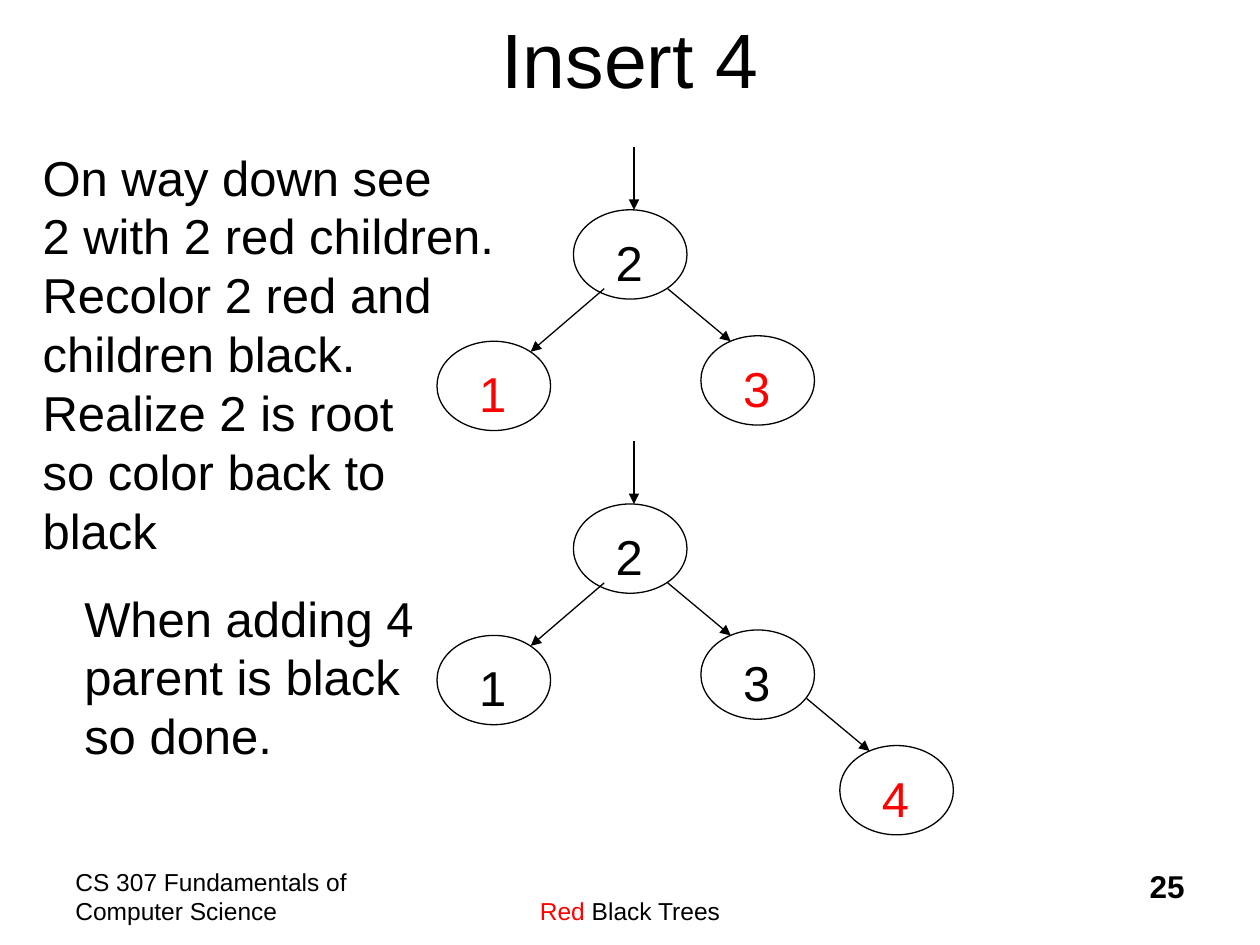
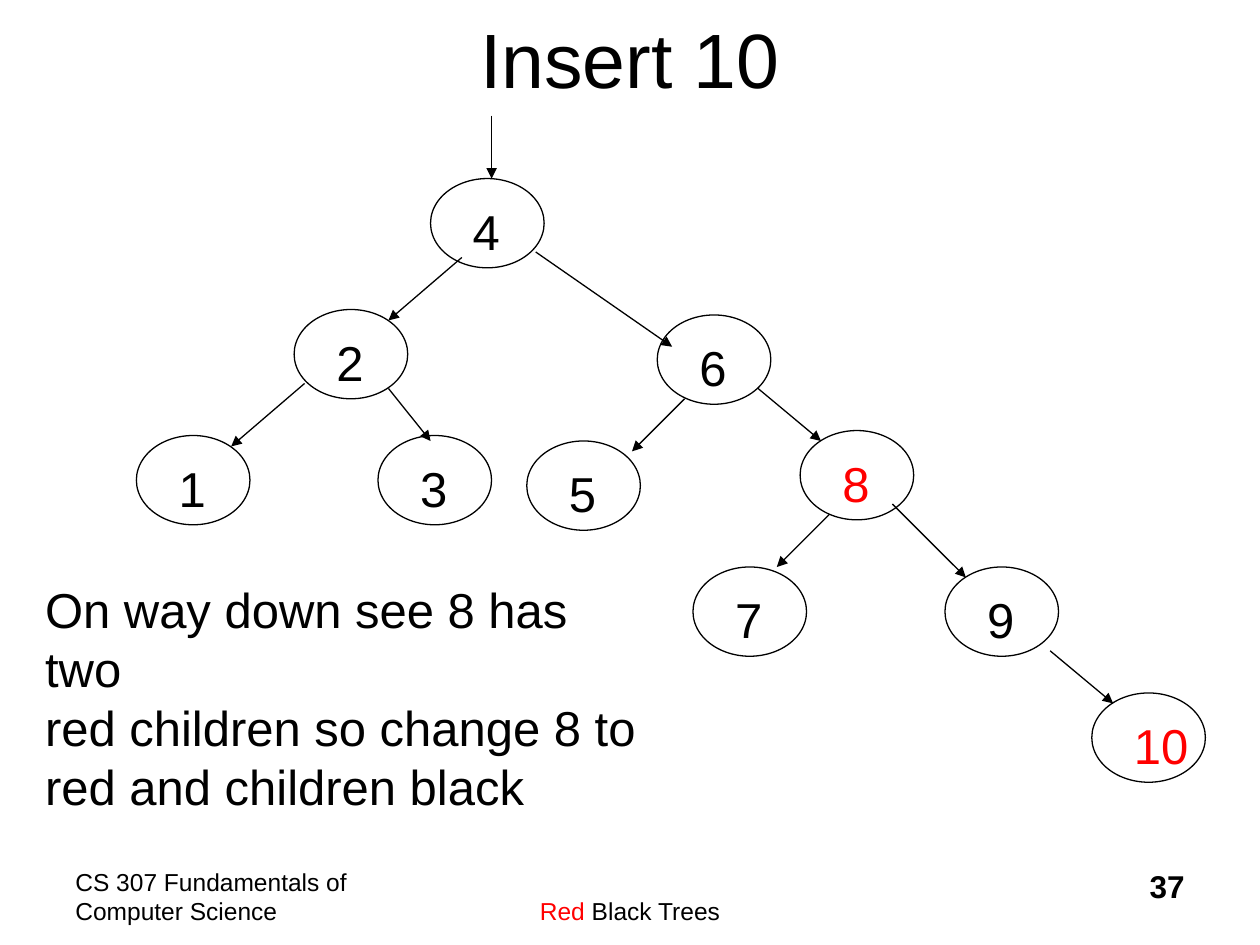
from dataclasses import dataclass

from lxml import etree
from pptx import Presentation
from pptx.dml.color import RGBColor
from pptx.enum.shapes import MSO_CONNECTOR, MSO_SHAPE
from pptx.enum.text import MSO_ANCHOR, PP_ALIGN
from pptx.oxml.ns import qn
from pptx.util import Cm, Pt

OVAL = MSO_SHAPE.OVAL
STRAIGHT = MSO_CONNECTOR.STRAIGHT
TOP, MIDDLE = MSO_ANCHOR.TOP, MSO_ANCHOR.MIDDLE
LEFT, CENTER, RIGHT = PP_ALIGN.LEFT, PP_ALIGN.CENTER, PP_ALIGN.RIGHT

# Shared style; all lengths are in centimetres
FONT = "Arial"
BLACK, RED = "000000", "FF0000"
LINE_WIDTH = Pt(0.75)
BODY_SIZE = 28
NODE_WIDTH, NODE_HEIGHT = 2.29, 1.8
LABEL_LEFT, LABEL_TOP, LABEL_HEIGHT = 0.6, 0.33, 1.44
INSET, DIGIT_WIDTH = 0.25, 0.55

# Arrow steps from start to head: (across, down)
INTO_ROOT = (0, 1.27)
TO_LEFT = (-1.48, 1.27)
TO_NEAR_LEFT = (-1.06, 1.06)
TO_RIGHT = (1.27, 1.06)
TO_NEAR_RIGHT = (0.85, 1.06)
TO_LOW_RIGHT = (1.48, 1.48)
TO_FAR_RIGHT = (2.75, 1.91)


@dataclass(frozen=True)
class Box:
    left: float
    top: float
    width: float
    height: float

    def lengths(self) -> tuple:
        return Cm(self.left), Cm(self.top), Cm(self.width), Cm(self.height)


@dataclass(frozen=True)
class Node:
    label: str
    left: float
    top: float
    color: str = BLACK


@dataclass(frozen=True)
class Arrow:
    left: float
    top: float
    step: tuple


@dataclass(frozen=True)
class Note:
    text: str
    box: Box


@dataclass(frozen=True)
class TreeSlide:
    title: str
    number: int
    nodes: list
    arrows: list
    notes: list


def rgb(color: str) -> RGBColor:
    return RGBColor.from_string(color)


def add_text(shapes, box: Box, text: str, size: int, color: str = BLACK,
             align=LEFT, anchor=TOP, bold: bool = False, wrap: bool = True):
    text_box = shapes.add_textbox(*box.lengths())
    frame = text_box.text_frame
    frame.word_wrap = wrap
    frame.vertical_anchor = anchor
    paragraph = frame.paragraphs[0]
    paragraph.text = text
    paragraph.alignment = align
    paragraph.font.name = FONT
    paragraph.font.size = Pt(size)
    paragraph.font.bold = bold
    paragraph.font.color.rgb = rgb(color)
    return paragraph


def add_node(slide, node: Node) -> None:
    shapes = slide.shapes.add_group_shape().shapes
    oval = shapes.add_shape(
        OVAL, *Box(node.left, node.top, NODE_WIDTH, NODE_HEIGHT).lengths())
    oval.shadow.inherit = False
    oval.fill.background()
    oval.line.color.rgb = rgb(BLACK)
    oval.line.width = LINE_WIDTH
    label_width = 2 * INSET + DIGIT_WIDTH * len(node.label)
    label_box = Box(node.left + LABEL_LEFT, node.top + LABEL_TOP,
                    label_width, LABEL_HEIGHT)
    add_text(shapes, label_box, node.label, BODY_SIZE, node.color, wrap=False)


def add_arrow(slide, arrow: Arrow) -> None:
    across, down = arrow.step
    connector = slide.shapes.add_connector(
        STRAIGHT, Cm(arrow.left), Cm(arrow.top),
        Cm(arrow.left + across), Cm(arrow.top + down))
    connector.line.color.rgb = rgb(BLACK)
    connector.line.width = LINE_WIDTH
    properties = connector._element.spPr
    line = properties.find(qn("a:ln"))
    etree.SubElement(line, qn("a:tailEnd"), type="triangle")
    etree.SubElement(properties, qn("a:effectLst"))


def add_footer(slide, number: int) -> None:
    add_text(slide.shapes, Box(1.27, 17.35, 6.35, 1.27),
             "CS 307 Fundamentals of Computer Science", 14)
    topic = add_text(slide.shapes, Box(7.83, 17.94, 9.74, 0.85),
                     "Red", 14, align=CENTER)
    topic.runs[0].font.color.rgb = rgb(RED)
    topic.add_run().text = " Black Trees"
    add_text(slide.shapes, Box(18.84, 17.35, 5.29, 1.27), str(number), 18,
             align=RIGHT, bold=True)


def add_tree_slide(presentation, content: TreeSlide) -> None:
    slide = presentation.slides.add_slide(presentation.slide_layouts[6])
    add_footer(slide, content.number)
    add_text(slide.shapes, Box(1.9, -0.42, 21.6, 3.17), content.title, 44,
             align=CENTER, anchor=MIDDLE)
    for node in content.nodes:
        add_node(slide, node)
    for arrow in content.arrows:
        add_arrow(slide, arrow)
    for note in content.notes:
        add_text(slide.shapes, note.box, note.text, BODY_SIZE, wrap=False)


# The three-node tree appears before and after the recoloring
def small_tree_nodes(top: float, child_color: str) -> list:
    return [Node("2", 11.56, top),
            Node("1", 8.81, top + 2.65, child_color),
            Node("3", 14.13, top + 2.54, child_color)]


def small_tree_arrows(top: float) -> list:
    return [Arrow(12.78, top - 1.27, INTO_ROOT),
            Arrow(12.18, top + 1.59, TO_LEFT),
            Arrow(13.46, top + 1.59, TO_RIGHT)]


BEFORE_TOP, AFTER_TOP = 4.23, 10.16

INSERT_4 = TreeSlide(
    title="Insert 4",
    number=25,
    nodes=(small_tree_nodes(BEFORE_TOP, RED)
           + small_tree_nodes(AFTER_TOP, BLACK)
           + [Node("4", 16.93, 15.03, RED)]),
    arrows=(small_tree_arrows(BEFORE_TOP) + small_tree_arrows(AFTER_TOP)
            + [Arrow(16.26, 14.08, TO_RIGHT)]),
    notes=[
        Note("On way down see\n2 with 2 red children.\nRecolor 2 red and\n"
             "children black.\nRealize 2 is root\nso color back to black",
             Box(0.61, 2.84, 9.98, 7.37)),
        Note("When adding 4\nparent is black\nso done.",
             Box(1.45, 11.73, 7.14, 3.81)),
    ],
)

INSERT_10 = TreeSlide(
    title="Insert 10",
    number=37,
    nodes=[
        Node("4", 8.68, 3.6),
        Node("2", 5.93, 6.24),
        Node("6", 13.25, 6.35),
        Node("1", 2.75, 8.78),
        Node("3", 7.62, 8.78),
        Node("5", 10.62, 8.89),
        Node("8", 16.13, 8.68, RED),
        Node("7", 13.97, 11.43),
        Node("9", 19.05, 11.43),
        Node("10", 22.01, 13.97, RED),
    ],
    arrows=[
        Arrow(9.91, 2.33, INTO_ROOT),
        Arrow(9.31, 5.19, TO_LEFT),
        Arrow(10.8, 5.08, TO_FAR_RIGHT),
        Arrow(6.14, 7.73, TO_LEFT),
        Arrow(7.83, 7.83, TO_NEAR_RIGHT),
        Arrow(13.8, 8.04, TO_NEAR_LEFT),
        Arrow(15.28, 7.83, TO_RIGHT),
        Arrow(16.72, 10.37, TO_NEAR_LEFT),
        Arrow(17.99, 10.16, TO_LOW_RIGHT),
        Arrow(21.17, 13.12, TO_RIGHT),
    ],
    notes=[
        Note("On way down see 8 has two\nred children so change 8 to\n"
             "red and children black", Box(0.66, 11.56, 12.83, 3.81)),
    ],
)


def main() -> None:
    presentation = Presentation()
    presentation.slide_width = Cm(25.4)
    presentation.slide_height = Cm(19.05)
    for content in (INSERT_4, INSERT_10):
        add_tree_slide(presentation, content)
    presentation.save("out.pptx")


if __name__ == "__main__":
    main()
